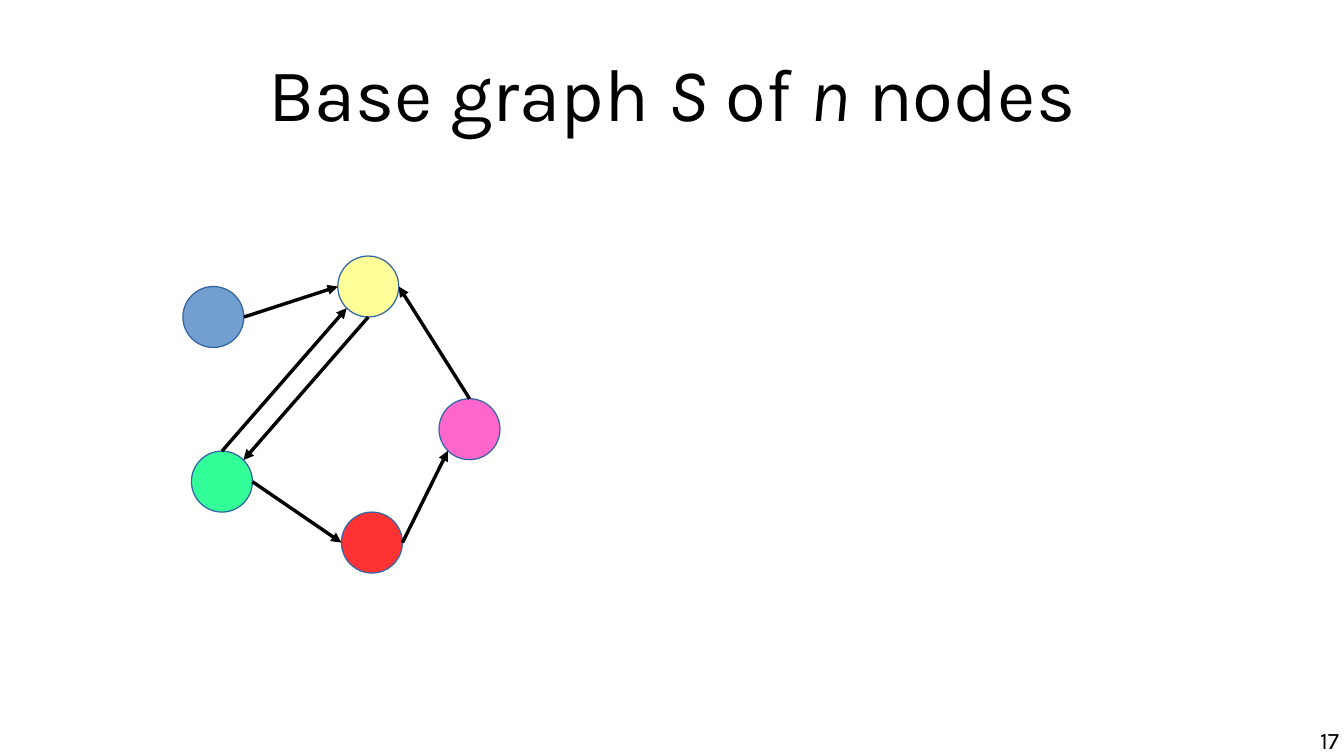
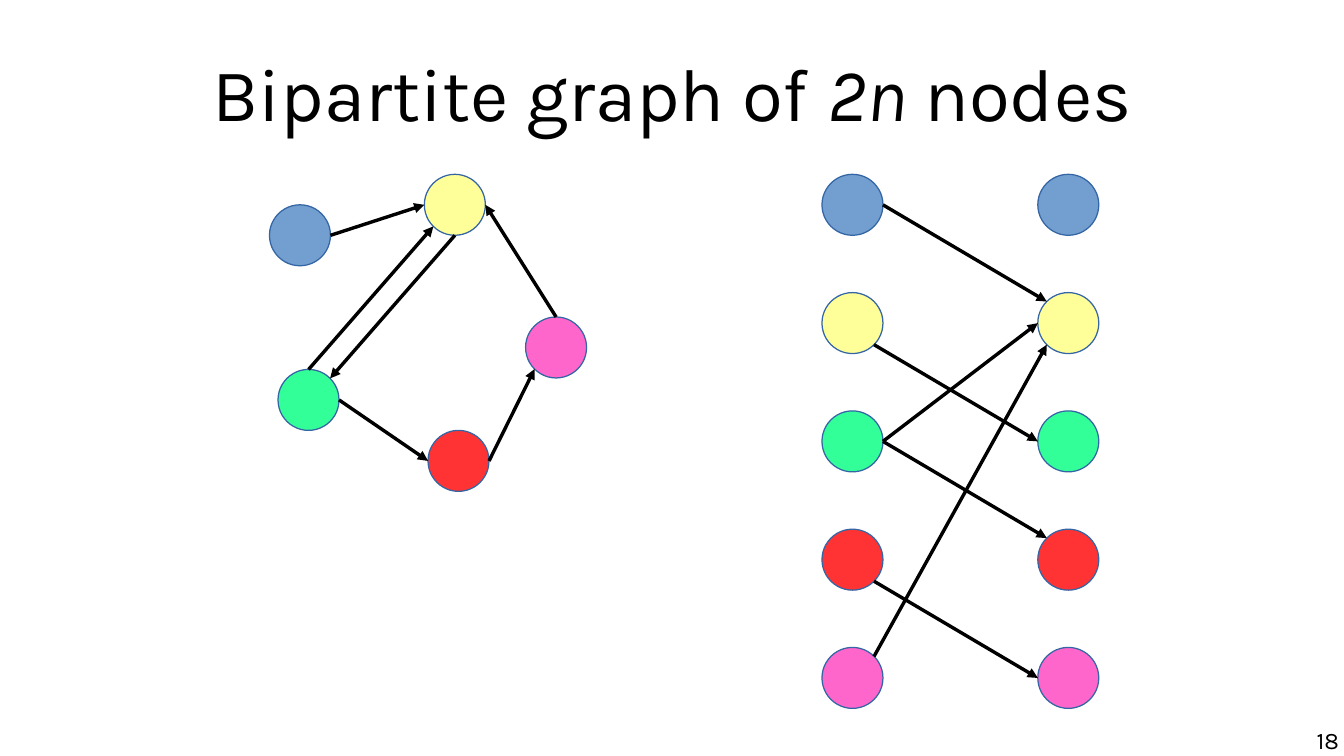
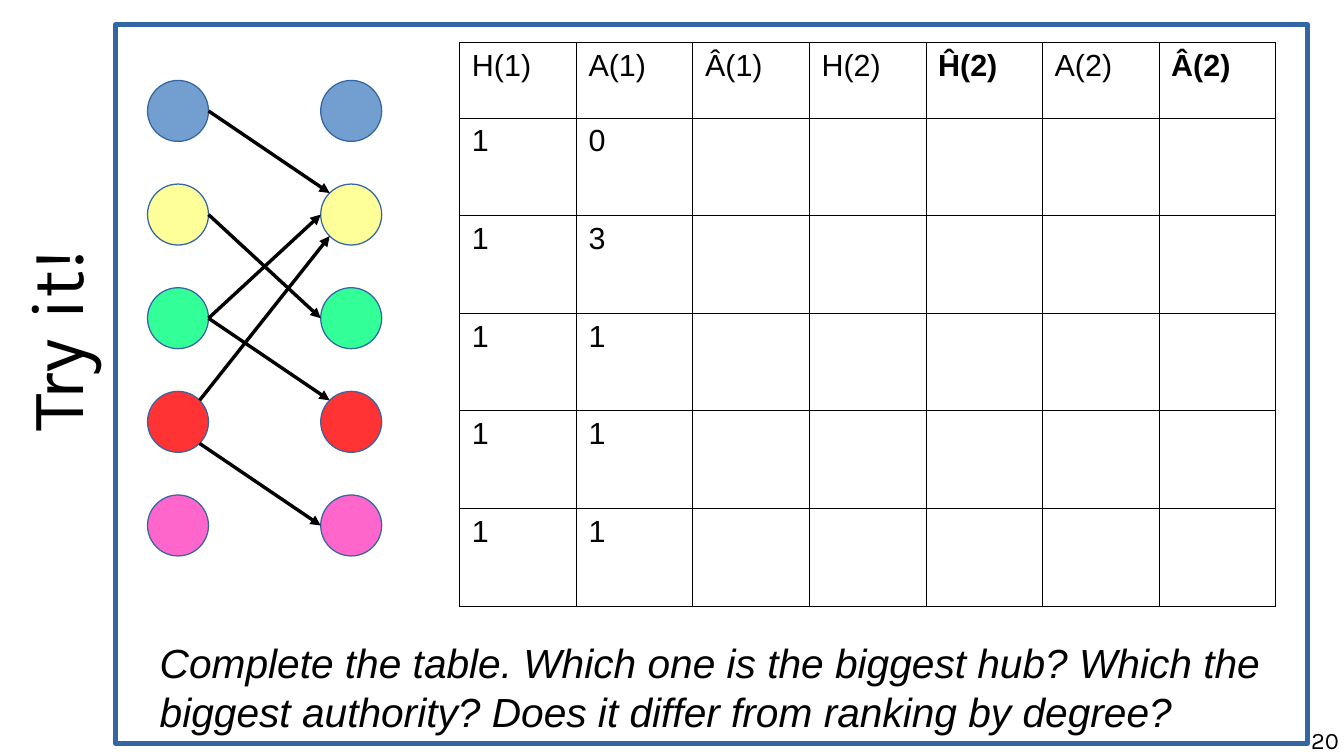
from math import sqrt

from lxml.etree import SubElement
from pptx import Presentation
from pptx.dml.color import RGBColor
from pptx.enum.shapes import MSO_CONNECTOR, MSO_SHAPE
from pptx.enum.text import MSO_ANCHOR, MSO_AUTO_SIZE, PP_ALIGN
from pptx.oxml.ns import qn
from pptx.util import Inches, Pt

BLACK = RGBColor(0x00, 0x00, 0x00)
BORDER = RGBColor(0x34, 0x65, 0xA4)
COLORS = {
    "blue": RGBColor(0x72, 0x9F, 0xCF),
    "yellow": RGBColor(0xFF, 0xFF, 0x99),
    "green": RGBColor(0x33, 0xFF, 0x99),
    "red": RGBColor(0xFF, 0x33, 0x33),
    "pink": RGBColor(0xFF, 0x66, 0xCC),
}
TITLE = {"name": "Karla", "size": Pt(44), "bold": False}
NUMBER = {"name": "Karla", "size": Pt(14)}
CELL = {"name": "Arial", "size": Pt(18), "bold": False}
TASK = {"name": "Arial", "size": Pt(24), "italic": True}

NODE = 0.5
DIAG = 1 / sqrt(2)
SIDES = {
    "n": (0, -1), "e": (1, 0), "s": (0, 1), "w": (-1, 0),
    "ne": (DIAG, -DIAG), "se": (DIAG, DIAG),
    "sw": (-DIAG, DIAG), "nw": (-DIAG, -DIAG),
}

BASE = {
    "blue": (0, 0.25), "yellow": (1.27, 0), "green": (0.07, 1.6),
    "red": (1.3, 2.1), "pink": (2.1, 1.17),
}
BASE_EDGES = [
    ("blue", "e", "yellow", "w"), ("yellow", "s", "green", "ne"),
    ("green", "n", "yellow", "sw"), ("green", "e", "red", "w"),
    ("red", "e", "pink", "sw"), ("pink", "n", "yellow", "e"),
]
PAIR_EDGES = [
    ("blue", "e", "yellow", "nw"), ("green", "e", "yellow", "w"),
    ("green", "e", "red", "nw"), ("red", "se", "pink", "w"),
]


def side(spot, name):
    """Return the point on the rim of the node whose corner is spot."""
    return [at + NODE / 2 * (1 + step) for at, step in zip(spot, SIDES[name])]


class Deck:
    def __init__(self):
        self.prs = Presentation()
        self.prs.slide_width, self.prs.slide_height = Inches(11.02), Inches(6.2)
        self.slide = None

    def start(self, number, title, box=(0.55, 0.01, 9.92, 1.49), turn=0):
        """Add a slide; title is a list of texts, every second one italic."""
        self.slide = self.prs.slides.add_slide(self.prs.slide_layouts[5])
        head = self.slide.shapes.title
        head.left, head.top, head.width, head.height = map(Inches, box)
        head.rotation = turn
        self.frame(head.text_frame, anchor=MSO_ANCHOR.MIDDLE)
        para = head.text_frame.paragraphs[0]
        para.alignment = PP_ALIGN.CENTER
        for i, text in enumerate(title):
            self.add_text(para, text, TITLE, italic=i % 2 == 1)
        foot = self.slide.shapes.add_textbox(*map(Inches, (8.41, 5.95, 2.57, 0.25)))
        self.frame(foot.text_frame)
        para = foot.text_frame.paragraphs[0]
        para.alignment = PP_ALIGN.RIGHT
        self.add_text(para, number, NUMBER)

    def frame(self, frame, anchor=MSO_ANCHOR.TOP, pads=(0, 0, 0, 0)):
        frame.word_wrap = True
        frame.auto_size = MSO_AUTO_SIZE.NONE
        frame.vertical_anchor = anchor
        for name, pad in zip(("left", "top", "right", "bottom"), pads):
            setattr(frame, "margin_" + name, Inches(pad))

    def add_text(self, para, text, style, **extra):
        run = para.add_run()
        run.text = text
        for name, value in {**style, **extra}.items():
            setattr(run.font, name, value)
        run.font.color.rgb = BLACK

    def shape(self, kind, box, width, fill=None):
        shape = self.slide.shapes.add_shape(kind, *map(Inches, box))
        shape.shadow.inherit = False
        if fill is None:
            shape.fill.background()
        else:
            shape.fill.solid()
            shape.fill.fore_color.rgb = fill
        shape.line.color.rgb = BORDER
        shape.line.width = Pt(width)
        return shape

    def nodes(self, spots):
        for name, spot in spots.items():
            self.shape(MSO_SHAPE.OVAL, (*spot, NODE, NODE), 0, COLORS[name])

    def arrow(self, start, end):
        line = self.slide.shapes.add_connector(
            MSO_CONNECTOR.STRAIGHT, *map(Inches, (*start, *end)))
        line.line.color.rgb = BLACK
        line.line.width = Pt(0)
        props = line._element.spPr
        SubElement(props.find(qn("a:ln")), qn("a:tailEnd"), type="triangle")
        SubElement(props, qn("a:effectLst"))

    def edges(self, starts, ends, links):
        for first, out, last, into in links:
            self.arrow(side(starts[first], out), side(ends[last], into))

    def base(self, left, top):
        spots = {name: (left + x, top + y) for name, (x, y) in BASE.items()}
        self.nodes(spots)
        self.edges(spots, spots, BASE_EDGES)

    def pairs(self, lefts, top, pitch, links):
        """Draw the same column of nodes at both lefts and link them."""
        hubs, auths = (
            {name: (left, top + i * pitch) for i, name in enumerate(COLORS)}
            for left in lefts)
        self.nodes(hubs)
        self.nodes(auths)
        self.edges(hubs, auths, PAIR_EDGES + links)

    def table(self, box, rows, heights, bold):
        grid = self.slide.shapes.add_table(
            len(rows), len(rows[0]), *map(Inches, box)).table
        grid.first_row = grid.horz_banding = False
        for col in grid.columns:
            col.width = Inches(box[2] / len(rows[0]))
        for row, height, texts in zip(grid.rows, heights, rows):
            row.height = Inches(height)
            for cell, text in zip(row.cells, texts):
                self.rule(cell)
                cell.fill.background()
                if text:
                    self.add_text(cell.text_frame.paragraphs[0], text, CELL,
                                  bold=text in bold)

    def rule(self, cell):
        """Give the cell a thin black line on all four sides."""
        props = cell._tc.get_or_add_tcPr()
        for edge in "LRTB":
            line = SubElement(props, qn("a:ln" + edge), w=str(Pt(0.57)))
            fill = SubElement(line, qn("a:solidFill"))
            SubElement(fill, qn("a:srgbClr"), val=str(BLACK))

    def task(self, box, text):
        panel = self.shape(MSO_SHAPE.RECTANGLE, box, 2.89)
        self.frame(panel.text_frame, MSO_ANCHOR.BOTTOM, (0.36, 0.07, 0.12, 0.07))
        para = panel.text_frame.paragraphs[0]
        para.alignment = PP_ALIGN.LEFT
        self.add_text(para, text, TASK)


def main():
    deck = Deck()

    deck.start("17", ["Base graph ", "S", " of ", "n", " nodes"])
    deck.base(1.5, 2.1)

    deck.start("18", ["Bipartite graph of ", "2n", " nodes"])
    deck.base(2.21, 1.43)
    deck.pairs((6.74, 8.51), 1.43, 0.97, [
        ("yellow", "se", "green", "w"), ("pink", "ne", "yellow", "sw")])

    deck.start("20", ["Try it!"], (-1.36, 2.38, 3.6, 0.83), 270)
    deck.pairs((1.21, 2.63), 0.66, 0.85, [
        ("yellow", "e", "green", "w"), ("red", "ne", "yellow", "sw")])
    heads = ["H(1)", "A(1)", "Â(1)", "H(2)", "Ĥ(2)", "A(2)", "Â(2)"]
    rows = [heads] + [["1", auth] + [""] * 5 for auth in "03111"]
    deck.table((3.77, 0.35, 6.69, 4.62), rows, [0.62] + [0.8] * 5,
               ("Ĥ(2)", "Â(2)"))
    deck.task((0.95, 0.2, 9.77, 5.9),
              "Complete the table. Which one is the biggest hub? Which the "
              "biggest authority? Does it differ from ranking by degree?")

    deck.prs.save("out.pptx")


if __name__ == "__main__":
    main()
